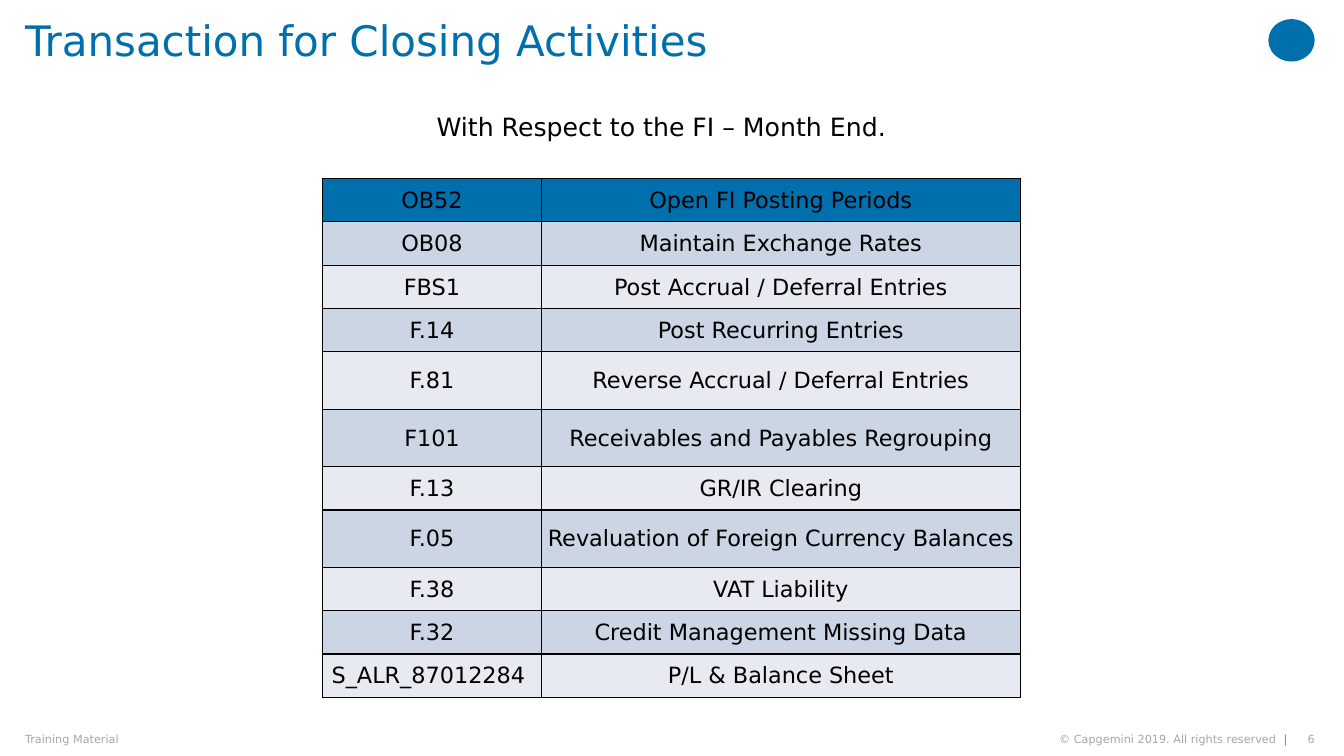
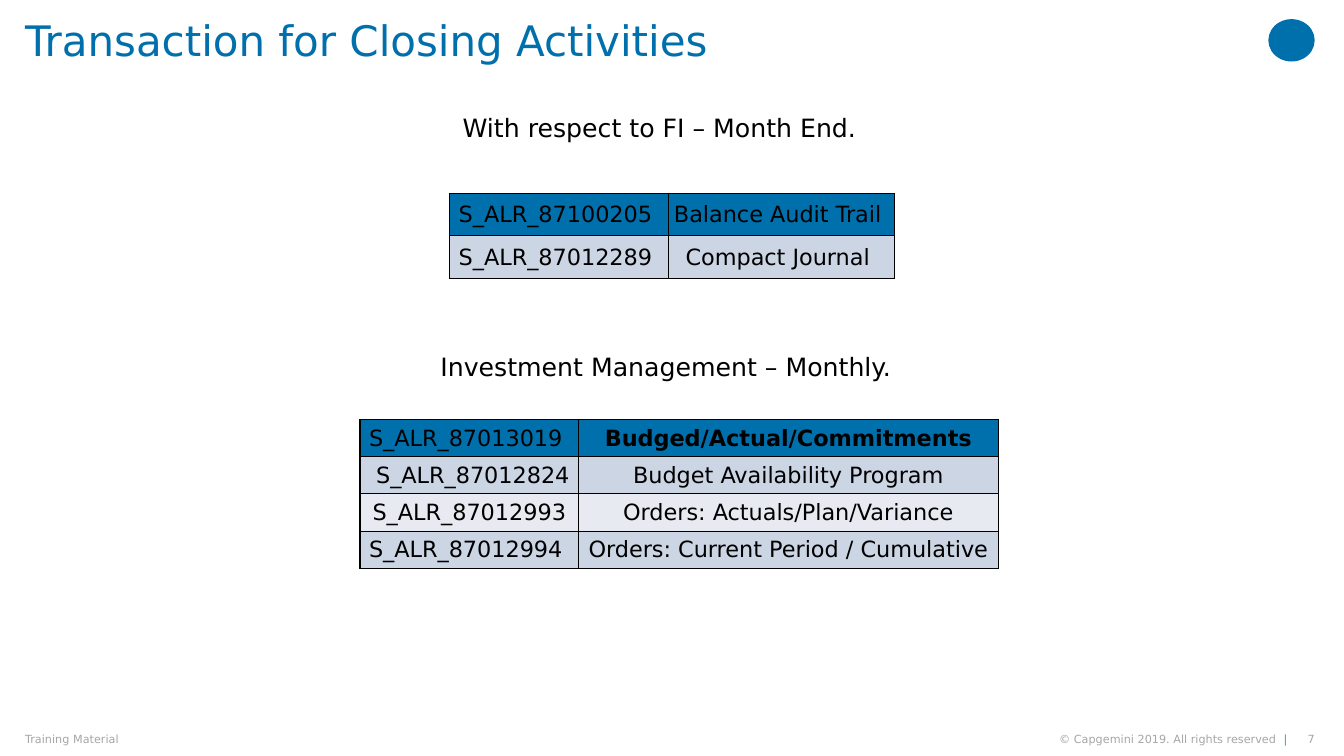
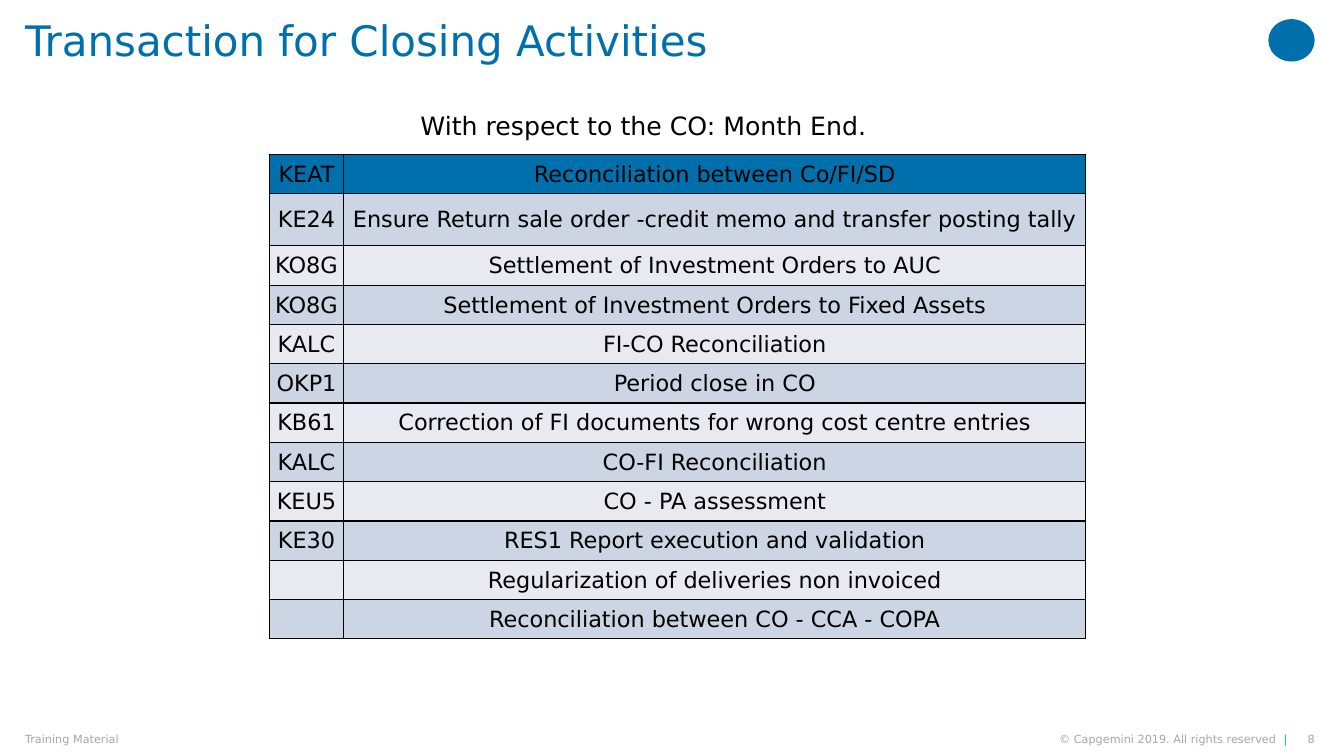
"""Build three slides that list the transactions used for closing activities."""
from dataclasses import dataclass
from typing import Optional

from lxml import etree
from pptx import Presentation
from pptx.dml.color import RGBColor
from pptx.enum.shapes import MSO_SHAPE
from pptx.enum.text import MSO_ANCHOR, MSO_AUTO_SIZE, PP_ALIGN
from pptx.oxml.ns import qn
from pptx.util import Inches, Pt

OVAL = MSO_SHAPE.OVAL
LEFT, CENTER, RIGHT = PP_ALIGN.LEFT, PP_ALIGN.CENTER, PP_ALIGN.RIGHT
TOP, MIDDLE = MSO_ANCHOR.TOP, MSO_ANCHOR.MIDDLE
NO_AUTOFIT = MSO_AUTO_SIZE.NONE

FONT = "DejaVu Sans"
BLUE, CYAN, GREY, BLACK = "0070AD", "12ABDB", "A6A6A6", "000000"
BANDS = ("CCD5E3", "E7EBF1")
TITLE = "Transaction for Closing Activities"
FIRST_PAGE = 6
TITLE_AND_BODY, TITLE_ONLY = 1, 5

Box = tuple[float, float, float, float]
FOOTER_TOP, FOOTER_HEIGHT = 7.27, 0.13
NO_MARGINS = (0, 0, 0, 0)
TEXT_MARGINS = (0.1, 0.05, 0.1, 0.05)
CELL_MARGINS = (0.01, 0.01, 0.01, 0)


@dataclass(frozen=True)
class Entry:
    """One transaction code with its activity."""

    code: str
    activity: str
    tall: bool = False
    bold: bool = False


@dataclass(frozen=True)
class TransactionTable:
    """A two-column table of transactions."""

    left: float
    top: float
    widths: tuple[float, float]
    row_height: float
    entries: list[Entry]
    tall_height: float = 0


@dataclass(frozen=True)
class Heading:
    """A line of text that introduces a table."""

    text: str
    box: Box


@dataclass(frozen=True)
class ClosingSlide:
    """The content of one slide."""

    tables: list[TransactionTable]
    body: Optional[Heading] = None
    headings: tuple[Heading, ...] = ()


SLIDES = [
    ClosingSlide(
        body=Heading("With Respect to the FI – Month End.", (4.23, 1.09, 4.93, 0.38)),
        tables=[TransactionTable(3.2, 1.77, (2.17, 4.75), 0.43, [
            Entry("OB52", "Open FI Posting Periods"),
            Entry("OB08", "Maintain Exchange Rates"),
            Entry("FBS1", "Post Accrual / Deferral Entries"),
            Entry("F.14", "Post Recurring Entries"),
            Entry("F.81", "Reverse Accrual / Deferral Entries", tall=True),
            Entry("F101", "Receivables and Payables Regrouping", tall=True),
            Entry("F.13", "GR/IR Clearing"),
            Entry("F.05", "Revaluation of Foreign Currency Balances", tall=True),
            Entry("F.38", "VAT Liability"),
            Entry("F.32", "Credit Management Missing Data"),
            Entry("S_ALR_87012284 ", "P/L & Balance Sheet"),
        ], tall_height=0.57)],
    ),
    ClosingSlide(
        headings=(
            Heading("With respect to FI – Month End.", (4.49, 1.07, 4.3, 0.4)),
            Heading("Investment Management – Monthly.", (4.27, 3.44, 4.79, 0.4)),
        ),
        tables=[
            TransactionTable(4.46, 1.92, (2.17, 2.24), 0.42, [
                Entry("S_ALR_87100205 ", "Balance Audit Trail "),
                Entry("S_ALR_87012289 ", "Compact Journal "),
            ]),
            TransactionTable(3.57, 4.16, (2.17, 4.16), 0.37, [
                Entry("S_ALR_87013019 ", "Budged/Actual/Commitments", bold=True),
                Entry(" S_ALR_87012824", "Budget Availability Program"),
                Entry("S_ALR_87012993", "Orders: Actuals/Plan/Variance"),
                Entry("S_ALR_87012994 ", "Orders: Current Period / Cumulative"),
            ]),
        ],
    ),
    ClosingSlide(
        body=Heading("With respect to the CO: Month End.", (4.07, 1.08, 5.3, 0.39)),
        tables=[TransactionTable(2.67, 1.53, (0.74, 7.36), 0.39, [
            Entry("KEAT", "Reconciliation between Co/FI/SD"),
            Entry("KE24", "Ensure Return sale order -credit memo and transfer posting tally",
                  tall=True),
            Entry("KO8G", "Settlement of Investment Orders to AUC"),
            Entry("KO8G", "Settlement of Investment Orders to Fixed Assets"),
            Entry("KALC", "FI-CO Reconciliation"),
            Entry("OKP1", "Period close in CO"),
            Entry("KB61", "Correction of FI documents for wrong cost centre entries"),
            Entry("KALC", "CO-FI Reconciliation"),
            Entry("KEU5", "CO - PA assessment"),
            Entry("KE30", "RES1 Report execution and validation"),
            Entry("", "Regularization of deliveries non invoiced"),
            Entry("", "Reconciliation between CO - CCA - COPA"),
        ], tall_height=0.52)],
    ),
]


def rgb(color: str) -> RGBColor:
    """Turn a hex string into a colour."""
    return RGBColor.from_string(color)


def add_text(paragraph, text: str, *, size: float, color: str = BLACK,
             bold: bool = False, align=LEFT, spacing: float = 1) -> None:
    """Append a formatted run to a paragraph."""
    paragraph.alignment = align
    paragraph.line_spacing = spacing
    paragraph.space_before = Pt(0)
    run = paragraph.add_run()
    run.text = text
    run.font.name = FONT
    run.font.size = Pt(size)
    run.font.bold = bold
    run.font.color.rgb = rgb(color)


def prepare_frame(shape, box: Box, margins: Box, anchor=TOP):
    """Place a text shape and return its first paragraph."""
    shape.left, shape.top, shape.width, shape.height = map(Inches, box)
    frame = shape.text_frame
    frame.word_wrap = True
    frame.auto_size = NO_AUTOFIT
    frame.vertical_anchor = anchor
    (frame.margin_left, frame.margin_top,
     frame.margin_right, frame.margin_bottom) = map(Inches, margins)
    return frame.paragraphs[0]


def add_box(slide, box: Box, margins: Box = TEXT_MARGINS, anchor=TOP):
    """Add a text box and return its first paragraph."""
    return prepare_frame(slide.shapes.add_textbox(*map(Inches, box)), box, margins, anchor)


def remove_bullet(paragraph) -> None:
    """Drop the inherited bullet and indent."""
    properties = paragraph._p.get_or_add_pPr()
    properties.set("marL", "0")
    properties.set("indent", "0")
    etree.SubElement(properties, qn("a:buNone"))


def draw_frame(slide, page: int) -> None:
    """Draw the title, emblem and footer that all slides share."""
    title = prepare_frame(slide.shapes.title, (0.25, 0, 12.17, 0.79), (0, 0.2, 0, 0))
    add_text(title, TITLE, size=30, color=BLUE, spacing=0.9)

    emblem = slide.shapes.add_shape(OVAL, *map(Inches, (12.58, 0.19, 0.46, 0.42)))
    emblem.shadow.inherit = False
    emblem.fill.solid()
    emblem.fill.fore_color.rgb = rgb(BLUE)
    emblem.line.fill.background()

    footers = (
        (0.25, 5.16, LEFT, (("Training Material", GREY),)),
        (9.86, 2.91, RIGHT, (("© Capgemini 2019. All rights reserved  ", GREY), ("|", CYAN))),
        (12.85, 0.19, RIGHT, ((str(page), GREY),)),
    )
    for left, width, align, parts in footers:
        footer = add_box(slide, (left, FOOTER_TOP, width, FOOTER_HEIGHT), NO_MARGINS, MIDDLE)
        for text, color in parts:
            add_text(footer, text, size=8, color=color, align=align)


def add_borders(cell) -> None:
    """Give a cell a thin black line on every side."""
    properties = cell._tc.get_or_add_tcPr()
    for side in ("a:lnL", "a:lnR", "a:lnT", "a:lnB"):
        border = etree.SubElement(properties, qn(side), w=str(Pt(1)))
        fill = etree.SubElement(border, qn("a:solidFill"))
        etree.SubElement(fill, qn("a:srgbClr"), val=BLACK)


def format_cell(cell, text: str, fill: str, bold: bool) -> None:
    """Fill one table cell and write its text."""
    add_borders(cell)
    cell.fill.solid()
    cell.fill.fore_color.rgb = rgb(fill)
    cell.vertical_anchor = MIDDLE
    (cell.margin_left, cell.margin_top,
     cell.margin_right, cell.margin_bottom) = map(Inches, CELL_MARGINS)
    if text:
        add_text(cell.text_frame.paragraphs[0], text, size=16, bold=bold, align=CENTER)


def draw_table(slide, content: TransactionTable) -> None:
    """Draw a transaction table with a blue first row and banded rows."""
    heights = [content.tall_height if entry.tall else content.row_height
               for entry in content.entries]
    size = (content.left, content.top, sum(content.widths), sum(heights))
    table = slide.shapes.add_table(len(heights), 2, *map(Inches, size)).table
    for column, width in zip(table.columns, content.widths):
        column.width = Inches(width)
    for index, (entry, height) in enumerate(zip(content.entries, heights)):
        table.rows[index].height = Inches(height)
        fill = BANDS[(index - 1) % 2] if index else BLUE
        format_cell(table.cell(index, 0), entry.code, fill, False)
        format_cell(table.cell(index, 1), entry.activity, fill, entry.bold)


def build_slide(deck, content: ClosingSlide, page: int) -> None:
    """Add one slide with its headings and tables."""
    layout = deck.slide_layouts[TITLE_AND_BODY if content.body else TITLE_ONLY]
    slide = deck.slides.add_slide(layout)
    draw_frame(slide, page)
    if content.body:
        body = prepare_frame(slide.placeholders[1], content.body.box, TEXT_MARGINS)
        remove_bullet(body)
        add_text(body, content.body.text, size=18, spacing=0.9)
    for heading in content.headings:
        add_text(add_box(slide, heading.box), heading.text, size=18)
    for table in content.tables:
        draw_table(slide, table)


def main() -> None:
    """Build and save the presentation."""
    deck = Presentation()
    deck.slide_width, deck.slide_height = Inches(13.33), Inches(7.5)
    for page, content in enumerate(SLIDES, FIRST_PAGE):
        build_slide(deck, content, page)
    deck.save("out.pptx")


if __name__ == "__main__":
    main()
